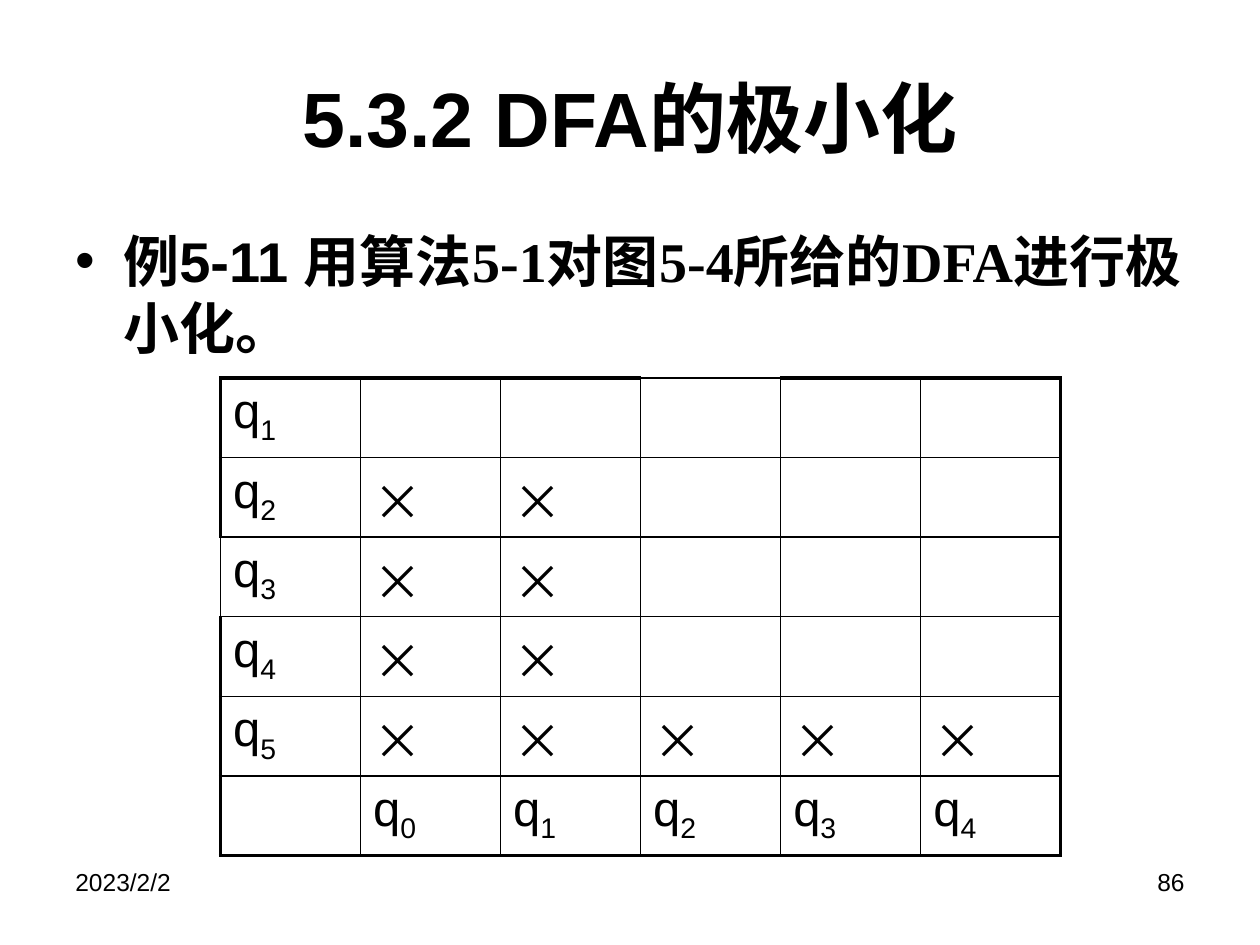
import pptx
import pptx.dml.color
import pptx.enum.text
import pptx.oxml
import pptx.oxml.ns
import pptx.util
from pptx.util import Inches

BLACK = pptx.dml.color.RGBColor(0x00, 0x00, 0x00)
WHITE = pptx.dml.color.RGBColor(0xFF, 0xFF, 0xFF)
SANS = "Arial"
SERIF = "Times New Roman"
CHINESE = "Noto Sans CJK SC"
ALIGN = pptx.enum.text.PP_ALIGN
ANCHOR = pptx.enum.text.MSO_ANCHOR

THIN, THICK = 1, 2.25
CROSS = "×"
# One row of the distinguishability table: state, number of crosses
STATE_ROWS = [("1", 0), ("2", 2), ("3", 2), ("4", 2), ("5", 5)]
COLUMN_STATES = "01234"


def add_xml(parent, tag, **attributes):
    element = pptx.oxml.parse_xml(f"<a:{tag} {pptx.oxml.ns.nsdecls('a')}/>")
    for name, value in attributes.items():
        element.set(name, str(value))
    parent.append(element)
    return element


def set_typeface(font, latin):
    font.name = latin
    add_xml(font._element, "ea", typeface=CHINESE)


def format_paragraph(paragraph, size, bold=False, alignment=ALIGN.LEFT):
    paragraph.alignment = alignment
    paragraph.font.size = pptx.util.Pt(size)
    paragraph.font.bold = bold
    paragraph.font.color.rgb = BLACK
    set_typeface(paragraph.font, SANS)


def add_run(paragraph, text, typeface):
    run = paragraph.add_run()
    run.text = text
    set_typeface(run.font, typeface)
    return run


def add_text_box(slide, box):
    frame = slide.shapes.add_textbox(*box).text_frame
    frame.word_wrap = True
    return frame.paragraphs[0]


def place_title(slide, box):
    title = slide.shapes.title
    title.left, title.top, title.width, title.height = box
    title.text_frame.text = "5.3.2 DFA的极小化"
    title.text_frame.vertical_anchor = ANCHOR.MIDDLE
    format_paragraph(title.text_frame.paragraphs[0], 44, True, ALIGN.CENTER)


def add_example(slide, box):
    paragraph = add_text_box(slide, box)
    properties = paragraph._p.get_or_add_pPr()
    indent = Inches(0.38)
    properties.set("marL", str(indent))
    properties.set("indent", str(-indent))
    add_xml(properties, "buFont", typeface=SANS)
    add_xml(properties, "buChar", char="•")
    format_paragraph(paragraph, 32, True)
    for text, typeface in [
        ("例5-11 ", SANS), ("用算法", CHINESE), ("5-1", SERIF),
        ("对图", CHINESE), ("5-4", SERIF), ("所给的", CHINESE),
        ("DFA", SERIF), ("进行极小化。", CHINESE),
    ]:
        add_run(paragraph, text, typeface)


def set_borders(cell, widths):
    properties = cell._tc.get_or_add_tcPr()
    for side, width in zip("LRTB", widths):
        line = add_xml(properties, f"ln{side}", w=pptx.util.Pt(width))
        fill = add_xml(line, "solidFill")
        add_xml(fill, "srgbClr", val=BLACK)


def fill_state(cell, index):
    paragraph = cell.text_frame.paragraphs[0]
    format_paragraph(paragraph, 28)
    add_run(paragraph, "q", SANS)
    subscript = add_run(paragraph, index, SANS)
    subscript.font._element.set("baseline", "-25000")


def fill_cross(cell):
    paragraph = cell.text_frame.paragraphs[0]
    format_paragraph(paragraph, 28)
    add_run(paragraph, CROSS, CHINESE)


def add_state_table(slide, box):
    row_count, column_count = len(STATE_ROWS) + 1, len(COLUMN_STATES) + 1
    last_row, last_column = row_count - 1, column_count - 1
    table = slide.shapes.add_table(row_count, column_count, *box).table
    table.first_row = table.horz_banding = False

    # Thick outer frame, thin at the top of column 3 and the left of row 2
    for row in range(row_count):
        for column in range(column_count):
            thick_sides = (
                column == 0 and row != 2,
                column == last_column,
                row == 0 and column != 3,
                row == last_row,
            )
            cell = table.cell(row, column)
            set_borders(cell, [THICK if side else THIN for side in thick_sides])
            cell.fill.background()

    # States down the left side, with crosses beside them
    for row, (index, cross_count) in enumerate(STATE_ROWS):
        fill_state(table.cell(row, 0), index)
        for column in range(1, cross_count + 1):
            fill_cross(table.cell(row, column))

    # States along the bottom
    for column, index in enumerate(COLUMN_STATES, start=1):
        fill_state(table.cell(last_row, column), index)


def add_footer(slide, box):
    left, top, width, height = box
    part_width = Inches(2.33)
    for text, part_left, alignment in [
        ("2023/2/2", left, ALIGN.LEFT),
        ("86", left + width - part_width, ALIGN.RIGHT),
    ]:
        paragraph = add_text_box(slide, (part_left, top, part_width, height))
        paragraph.text = text
        format_paragraph(paragraph, 14, alignment=alignment)


def main():
    presentation = pptx.Presentation()
    presentation.slide_width = Inches(10)
    presentation.slide_height = Inches(7.5)
    title_only = presentation.slide_layouts[5]
    slide = presentation.slides.add_slide(title_only)
    slide.background.fill.solid()
    slide.background.fill.fore_color.rgb = WHITE

    left, width = Inches(0.5), Inches(9)
    place_title(slide, (left, Inches(0.3), width, Inches(1.25)))
    add_example(slide, (left, Inches(1.75), width, Inches(1.25)))
    add_state_table(slide, (Inches(1.75), Inches(3), Inches(6.67), Inches(3.78)))
    add_footer(slide, (left, Inches(6.83), width, Inches(0.52)))
    presentation.save("out.pptx")


if __name__ == "__main__":
    main()
